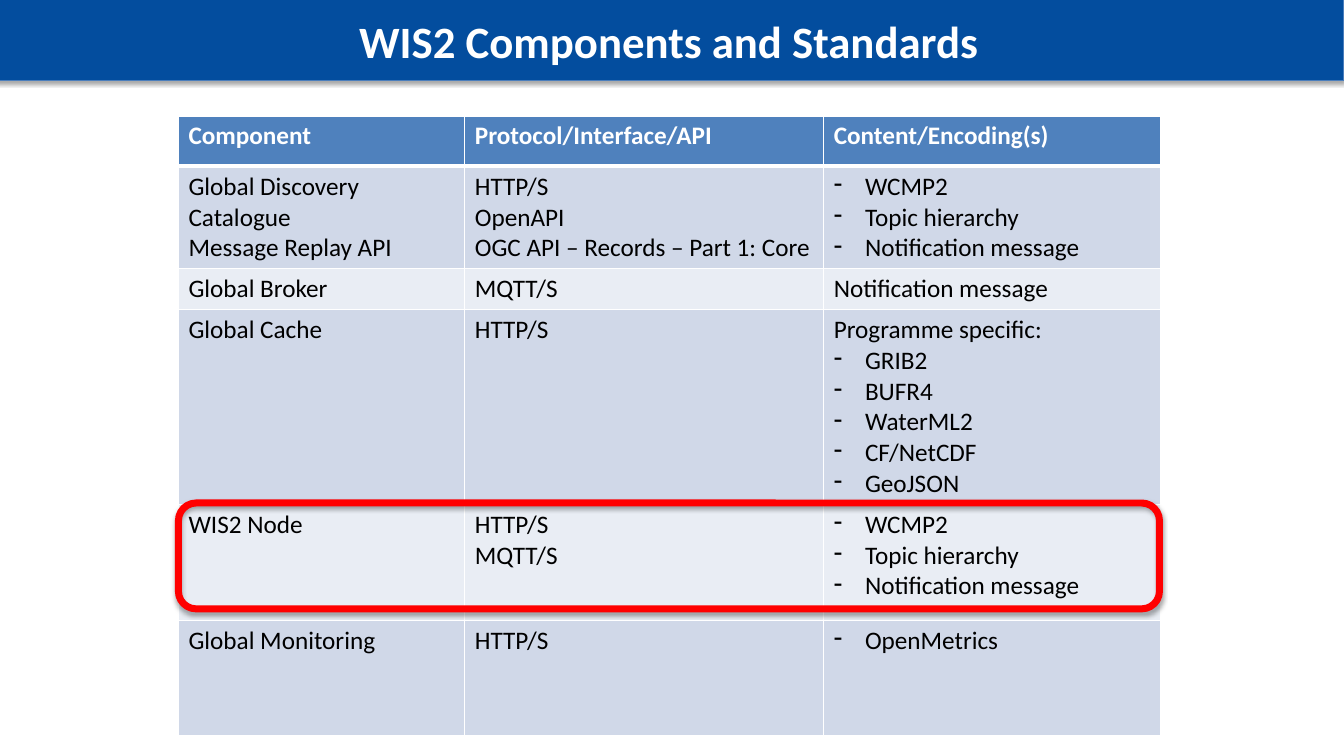
from dataclasses import dataclass

from lxml.etree import SubElement
from pptx import Presentation
from pptx.dml.color import RGBColor
from pptx.enum.shapes import MSO_SHAPE as Preset
from pptx.enum.text import MSO_ANCHOR as Anchor, PP_ALIGN as Align
from pptx.oxml.ns import qn
from pptx.util import Inches, Pt

COLORS = {
    "banner": "034D9E", "banner_edge": "4B7EBC", "header": "4F81BD",
    "band_dark": "D0D8E8", "band_light": "E9EDF4", "highlight": "FF0000",
    "white": "FFFFFF", "black": "000000",
}
TITLE_FORMAT = {"name": "Calibri", "size": Pt(32), "bold": True}
HEADER_FORMAT = {"name": "Calibri", "size": Pt(18), "bold": True}
BODY_FORMAT = {**HEADER_FORMAT, "bold": False}
BULLET = "- "
BULLET_INDENT = Inches(0.31)
TABLE_LEFT, TABLE_TOP, TABLE_WIDTH = 1.77, 1.15, 9.73
COLUMN_WIDTHS = (2.84, 3.56, 3.34)
HEADINGS = ("Component", "Protocol/Interface/API", "Content/Encoding(s)")


@dataclass(frozen=True)
class Component:
    height: float
    names: tuple[str, ...]
    protocols: tuple[str, ...]
    contents: tuple[str, ...]


@dataclass(frozen=True)
class Panel:
    preset: Preset
    box: tuple[float, float, float, float]
    fill: str | None
    edge: str
    edge_width: float


METADATA = ("- WCMP2", "- Topic hierarchy", "- Notification message")
COMPONENTS = (
    Component(0.77, ("Global Discovery Catalogue", "Message Replay API"),
              ("HTTP/S", "OpenAPI\vOGC API – Records – Part 1: Core"), METADATA),
    Component(0.35, ("Global Broker",), ("MQTT/S",), ("Notification message",)),
    Component(1.41, ("Global Cache",), ("HTTP/S",),
              ("Programme specific:", "- GRIB2", "- BUFR4", "- WaterML2",
               "- CF/NetCDF", "- GeoJSON")),
    Component(1.15, ("WIS2 Node",), ("HTTP/S", "MQTT/S"), METADATA),
    Component(1.15, ("Global Monitoring",), ("HTTP/S",), ("- OpenMetrics",)),
)
BANNER = Panel(Preset.RECTANGLE, (-0.06, 0, 13.39, 0.8), "banner", "banner_edge", 0.75)
NODE_FRAME = Panel(Preset.ROUNDED_RECTANGLE, (TABLE_LEFT, 4.99, TABLE_WIDTH, 1.05),
                   None, "highlight", 5)


def rgb(color: str) -> RGBColor:
    return RGBColor.from_string(COLORS[color])


def add_color(parent, color: str):
    return SubElement(parent, qn("a:srgbClr"), val=COLORS[color])


def format_runs(paragraph, formats: dict, color: str) -> None:
    for run in paragraph.runs:
        for attribute, value in formats.items():
            setattr(run.font, attribute, value)
        run.font.color.rgb = rgb(color)


def add_panel(slide, panel: Panel):
    """Draw a preset shape with a soft shadow below it."""
    shape = slide.shapes.add_shape(panel.preset, *map(Inches, panel.box))
    if panel.fill:
        shape.fill.solid()
        shape.fill.fore_color.rgb = rgb(panel.fill)
    else:
        shape.fill.background()
    shape.line.color.rgb = rgb(panel.edge)
    shape.line.width = Pt(panel.edge_width)
    shape.shadow.inherit = False
    effects = shape.element.spPr.find(qn("a:effectLst"))
    shadow = SubElement(effects, qn("a:outerShdw"), blurRad=str(Pt(3.1)),
                        dist=str(Pt(1.8)), dir="5400000", rotWithShape="0")
    SubElement(add_color(shadow, "black"), qn("a:alpha"), val="35000")
    return shape


def add_borders(cell, top: float, bottom: float) -> None:
    properties = cell._tc.get_or_add_tcPr()
    for side, width in {"L": 1, "R": 1, "T": top, "B": bottom}.items():
        border = SubElement(properties, qn(f"a:ln{side}"), w=str(Pt(width)))
        add_color(SubElement(border, qn("a:solidFill")), "white")


def add_bullet(paragraph) -> None:
    properties = paragraph._p.get_or_add_pPr()
    properties.set("marL", str(BULLET_INDENT))
    properties.set("indent", str(-BULLET_INDENT))
    SubElement(properties, qn("a:buFontTx"))
    SubElement(properties, qn("a:buChar"), char=BULLET.strip())


def fill_cell(cell, lines: tuple[str, ...], formats: dict, color: str, fill: str) -> None:
    """Write one paragraph per line; a leading dash becomes a bullet."""
    for index, line in enumerate(lines):
        frame = cell.text_frame
        paragraph = frame.add_paragraph() if index else frame.paragraphs[0]
        if line.startswith(BULLET):
            add_bullet(paragraph)
        paragraph.text = line.removeprefix(BULLET)
        format_runs(paragraph, formats, color)
    cell.fill.solid()
    cell.fill.fore_color.rgb = rgb(fill)


def add_component_table(slide) -> None:
    heights = (0.5, *(component.height for component in COMPONENTS))
    table = slide.shapes.add_table(
        len(heights), len(HEADINGS), Inches(TABLE_LEFT), Inches(TABLE_TOP),
        Inches(TABLE_WIDTH), Inches(sum(heights))).table
    for column, width in zip(table.columns, COLUMN_WIDTHS):
        column.width = Inches(width)
    for row, height in zip(table.rows, heights):
        row.height = Inches(height)

    for cell, heading in zip(table.rows[0].cells, HEADINGS):
        add_borders(cell, top=1, bottom=3)
        fill_cell(cell, (heading,), HEADER_FORMAT, "white", "header")
    for index, component in enumerate(COMPONENTS):
        band = "band_light" if index % 2 else "band_dark"
        entries = (component.names, component.protocols, component.contents)
        for cell, lines in zip(table.rows[index + 1].cells, entries):
            add_borders(cell, top=1 if index else 3, bottom=1)
            fill_cell(cell, lines, BODY_FORMAT, "black", band)


def main() -> None:
    deck = Presentation()
    deck.slide_width, deck.slide_height = Inches(13.33), Inches(7.5)
    slide = deck.slides.add_slide(deck.slide_layouts[6])

    title = add_panel(slide, BANNER).text_frame
    title.vertical_anchor = Anchor.MIDDLE
    title.paragraphs[0].text = "WIS2 Components and Standards"
    title.paragraphs[0].alignment = Align.CENTER
    format_runs(title.paragraphs[0], TITLE_FORMAT, "white")

    add_component_table(slide)
    add_panel(slide, NODE_FRAME)
    deck.save("out.pptx")


if __name__ == "__main__":
    main()
